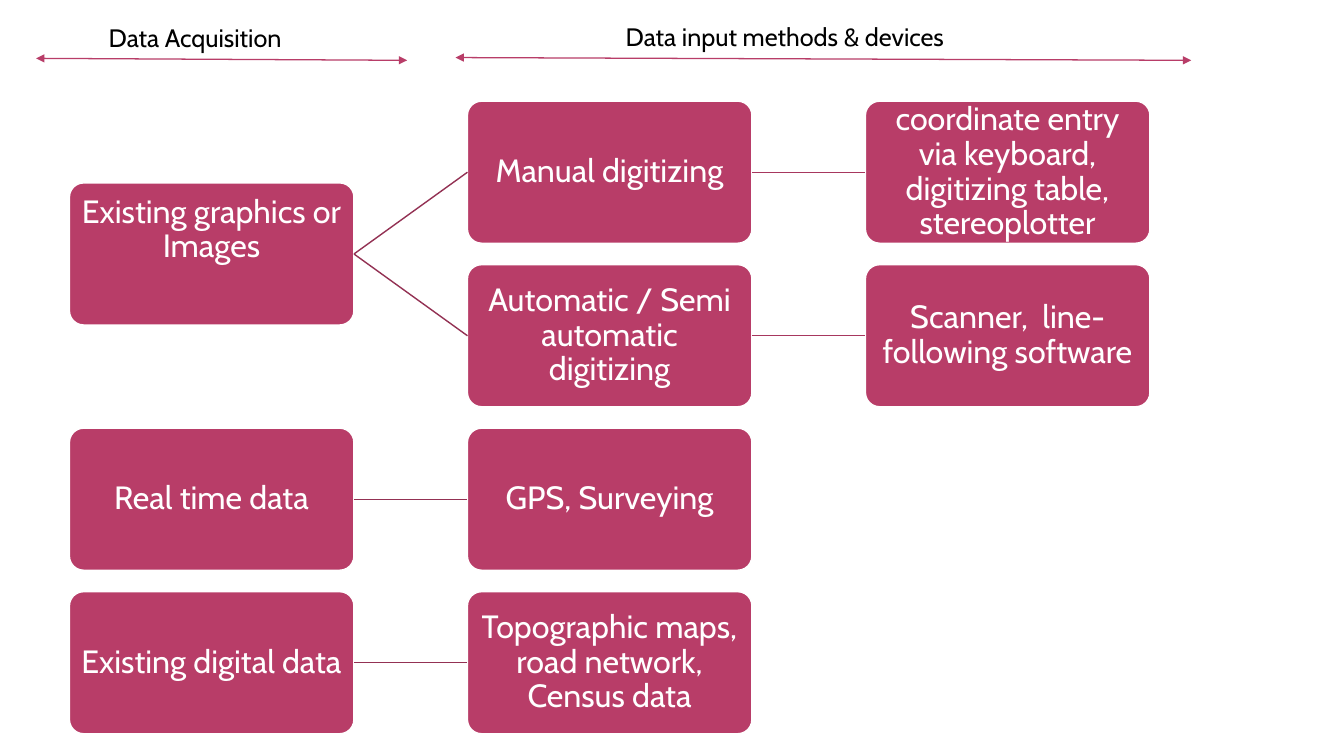
import pptx
import pptx.util
import pptx.dml.color
import pptx.enum.shapes
import pptx.enum.text
import pptx.oxml.ns
import pptx.oxml.xmlchemy

Cm = pptx.util.Cm
Pt = pptx.util.Pt
RGBColor = pptx.dml.color.RGBColor
Align = pptx.enum.text.PP_ALIGN
Anchor = pptx.enum.text.MSO_ANCHOR

ROSE = RGBColor(0xB8, 0x3D, 0x68)
PLUM = RGBColor(0x93, 0x31, 0x53)
BERRY = RGBColor(0xA7, 0x37, 0x5E)
WHITE = RGBColor(0xFF, 0xFF, 0xFF)
BLACK = RGBColor(0, 0, 0)

LEFT, TOP = 1.75, 2.55
WIDE, HIGH = 7.17, 3.58
STEP, DROP = 10.03, 4.12

BOXES = {
    "graphics": (0, 0.5, "Existing graphics or Images"),
    "manual": (1, 0, "Manual digitizing"),
    "entry": (2, 0, "coordinate entry via keyboard, digitizing table, stereoplotter"),
    "auto": (1, 1, "Automatic / Semi automatic digitizing"),
    "scanner": (2, 1, "Scanner,  line-following software"),
    "live": (0, 2, "Real time data"),
    "survey": (1, 2, "GPS, Surveying"),
    "digital": (0, 3, "Existing digital data"),
    "maps": (1, 3, "Topographic maps, road network, Census data"),
}
LIFT = {"graphics": 1.2}
LINKS = [
    ("graphics", "manual", PLUM),
    ("graphics", "auto", PLUM),
    ("manual", "entry", BERRY),
    ("auto", "scanner", BERRY),
    ("live", "survey", PLUM),
    ("digital", "maps", PLUM),
]
HEADS = [
    ("Data Acquisition", 2.49, 0.43, 6.88, (10.26, 1.52, 0.91, 1.47)),
    ("Data input methods & devices", 15.52, 0.41, 13.34, (11.48, 1.45, 30.02, 1.52)),
]


def write(frame, text, size=18, color=BLACK, font="Cabin", align=Align.LEFT, space=1.0):
    frame.word_wrap = True
    para = frame.paragraphs[0]
    para.alignment = align
    para.line_spacing = space
    run = para.add_run()
    run.text = text
    run.font.name = font
    run.font.size = Pt(size)
    run.font.color.rgb = color


class Chart:
    """Draws the boxes, links and headings of a flow chart on one slide."""

    def __init__(self, slide):
        self.shapes = slide.shapes

    def box(self, col, row, text, lift=0):
        kind = pptx.enum.shapes.MSO_SHAPE.ROUNDED_RECTANGLE
        box = self.shapes.add_shape(
            kind, Cm(LEFT + col * STEP), Cm(TOP + row * DROP), Cm(WIDE), Cm(HIGH))
        box.adjustments[0] = 0.1
        box.shadow.inherit = False
        box.fill.solid()
        box.fill.fore_color.rgb = ROSE
        box.line.color.rgb = WHITE
        box.line.width = Pt(1)
        frame = box.text_frame
        frame.margin_left = frame.margin_right = frame.margin_top = Cm(0.15)
        frame.margin_bottom = Cm(0.15 + lift)
        frame.vertical_anchor = Anchor.MIDDLE
        write(frame, text, size=23, color=WHITE, align=Align.CENTER, space=0.9)

    def line(self, ends, color, width=1.0, arrows=False):
        kind = pptx.enum.shapes.MSO_CONNECTOR.STRAIGHT
        line = self.shapes.add_connector(kind, *[Cm(end) for end in ends])
        line.line.color.rgb = color
        line.line.width = Pt(width)
        make = pptx.oxml.xmlchemy.OxmlElement
        props = line._element.find(pptx.oxml.ns.qn("p:spPr"))
        if arrows:
            stroke = props.find(pptx.oxml.ns.qn("a:ln"))
            for tag in ("a:headEnd", "a:tailEnd"):
                tip = make(tag)
                tip.set("type", "triangle")
                stroke.append(tip)
        props.append(make("a:effectLst"))

    def link(self, start, end, color):
        col, row = BOXES[start][:2]
        goal, level = BOXES[end][:2]
        mid = TOP + HIGH / 2
        self.line((LEFT + col * STEP + WIDE, mid + row * DROP,
                   LEFT + goal * STEP, mid + level * DROP), color)

    def head(self, text, left, top, width, ends):
        self.line(ends, ROSE, width=0.9, arrows=True)
        label = self.shapes.add_textbox(Cm(left), Cm(top), Cm(width), Cm(1.02))
        write(label.text_frame, text)


def main():
    deck = pptx.Presentation()
    deck.slide_width, deck.slide_height = Cm(33.87), Cm(19.05)
    chart = Chart(deck.slides.add_slide(deck.slide_layouts[6]))
    for name, box in BOXES.items():
        chart.box(*box, lift=LIFT.get(name, 0))
    for link in LINKS:
        chart.link(*link)
    for head in HEADS:
        chart.head(*head)
    deck.save("out.pptx")


if __name__ == "__main__":
    main()
